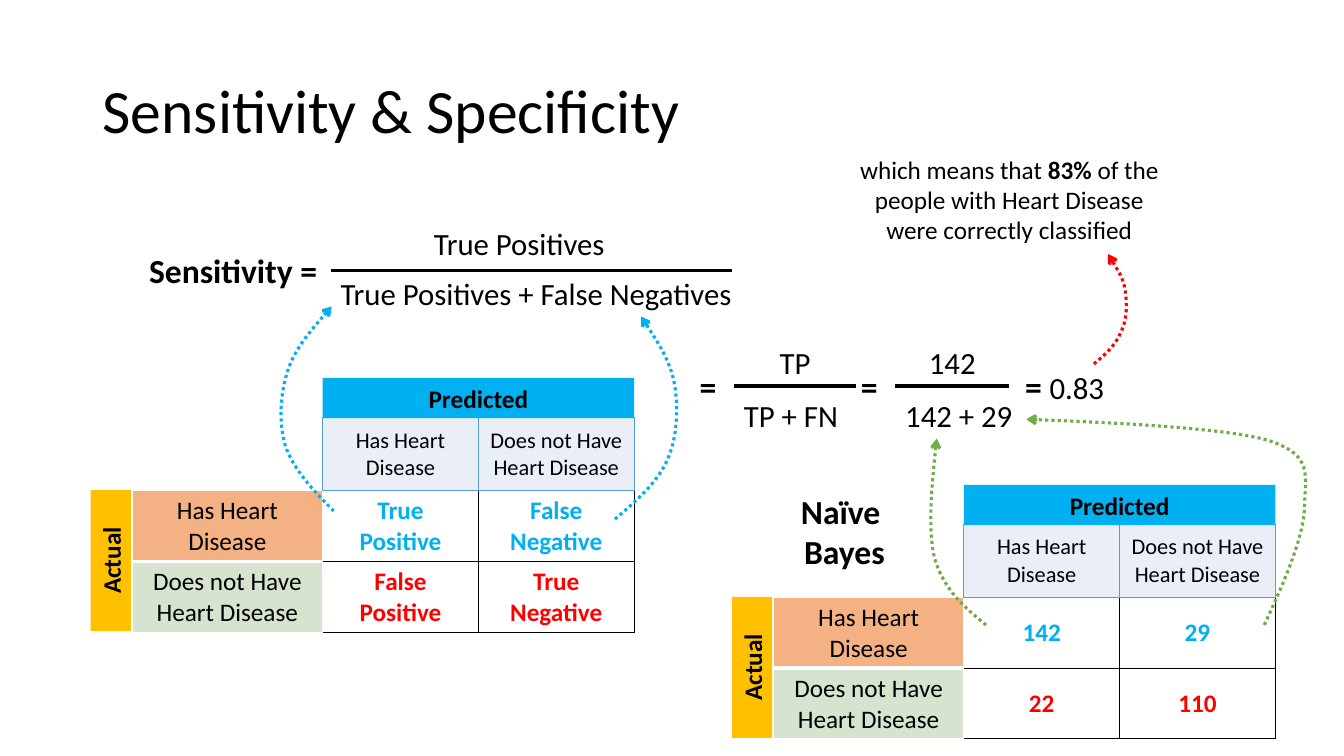
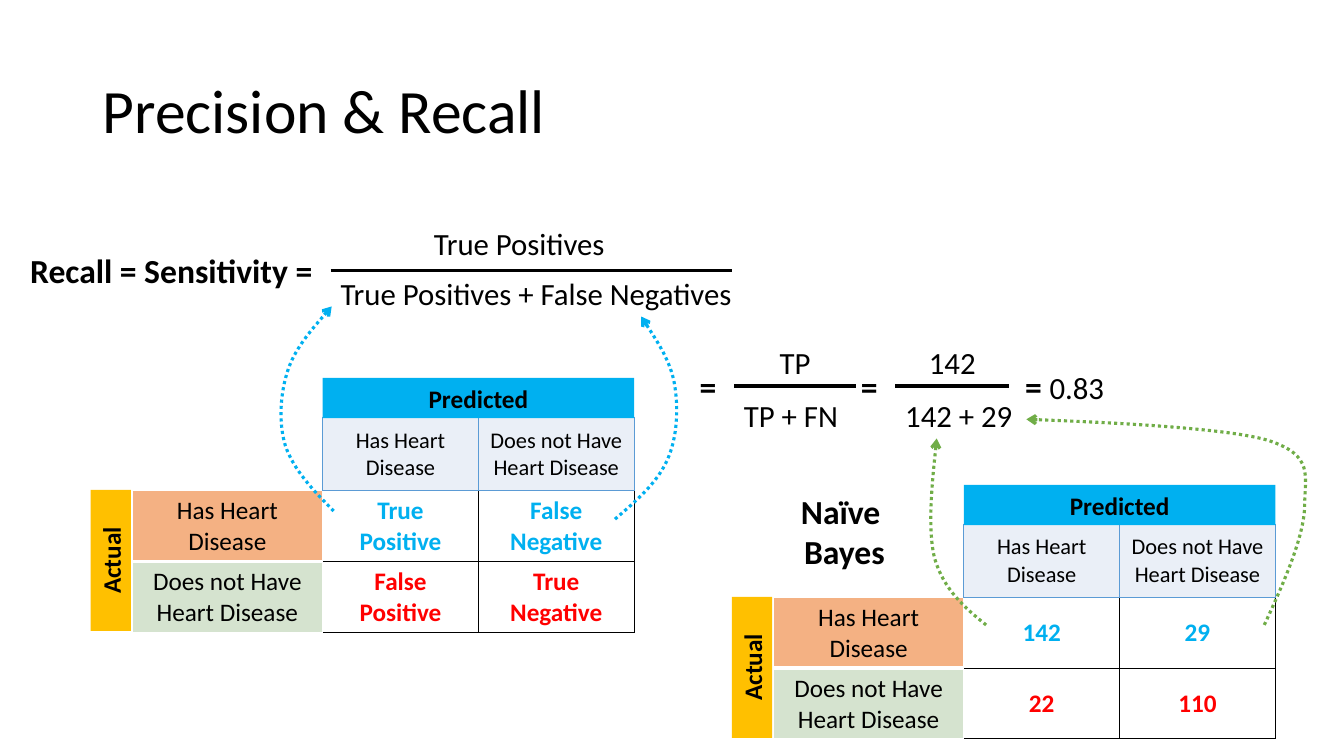
import lxml.etree
import pptx
import pptx.dml.color
import pptx.enum.dml
import pptx.enum.shapes
import pptx.enum.text
import pptx.oxml.ns
import pptx.util

PX = 9144
FONT = "Calibri"
COLORS = {
    "ink": "000000", "white": "FFFFFF", "predicted": "00B0F0", "actual": "FFC000",
    "has": "F4B183", "has_not": "D5E3CF", "header": "EAEFF7", "header_rule": "5B9BD5",
    "wrong": "FF0000", "link": "70AD47",
}
PLAIN_TABLE = "{2D5ABB26-0587-4C30-8999-92F81FD0307C}"
ALIGN = pptx.enum.text.PP_ALIGN
MIDDLE = pptx.enum.text.MSO_ANCHOR.MIDDLE
TOP = pptx.enum.text.MSO_ANCHOR.TOP
CONDITIONS = ["Has Heart Disease", "Does not Have Heart Disease"]
OUTCOMES = [["True\nPositive", "False\nNegative"], ["False\nPositive", "True\nNegative"]]
BAYES_COUNTS = [["142", "29"], ["22", "110"]]
OUTCOMES_AT, BAYES_AT = (90, 375), (726, 481)
MEANING_AT = (834, 148)
OUTCOME_CURVES = [
    [(241, 132), (221, 112), (201, 91), (193, 67), (186, 44), (188, 14), (196, -9),
     (204, -32), (239, -71)],
    [(520, 140), (541, 122), (562, 104), (572, 81), (582, 59), (583, 29), (579, 6),
     (575, -18), (546, -61)],
]
BAYES_CURVES = [
    [(252, 139), (231, 122), (210, 104), (201, 73), (193, 42), (203, -46)],
    [(528, 139), (548, 96), (567, 52), (568, 22), (568, -9), (578, -29), (532, -44),
     (486, -58), (292, -65)],
]
MEANING_CURVE = [(251, 213), (262, 204), (273, 194), (278, 181), (284, 169), (284, 153),
                 (282, 140), (280, 127), (265, 104)]


def qn(tag):
    """Return the qualified name of a drawing tag."""
    return pptx.oxml.ns.qn(tag)


def rgb(name):
    """Return a palette colour."""
    return pptx.dml.color.RGBColor.from_string(COLORS[name])


def emu(*lengths):
    """Turn px lengths into EMU."""
    return [length * PX for length in lengths]


def write(frame, text, size, bold=False, color="ink", align=ALIGN.CENTER):
    """Write plain text, or one paragraph of (words, bold, size) runs."""
    frame.word_wrap = True
    if isinstance(text, str):
        frame.text = text
    else:
        for words, run_bold, run_size in text:
            run = frame.paragraphs[0].add_run()
            run.text = words
            run.font.bold = run_bold
            run.font.size = pptx.util.Pt(run_size)
    for paragraph in frame.paragraphs:
        paragraph.alignment = align
        paragraph.font.name = FONT
        paragraph.font.size = pptx.util.Pt(size)
        paragraph.font.bold = bold
        paragraph.font.color.rgb = rgb(color)


def add_text(shapes, box, text, size, **style):
    """Place a text box and return it."""
    words = shapes.add_textbox(*emu(*box))
    write(words.text_frame, text, size, **style)
    return words


def add_band(slide, box, text, color, rotation=0):
    """Place a filled heading band."""
    band = slide.shapes.add_shape(pptx.enum.shapes.MSO_SHAPE.RECTANGLE, *emu(*box))
    band.shadow.inherit = False
    band.fill.solid()
    band.fill.fore_color.rgb = rgb(color)
    band.line.fill.background()
    band.rotation = rotation
    band.text_frame.vertical_anchor = MIDDLE
    write(band.text_frame, text, 18, bold=True)


def set_borders(cell, borders):
    """Draw the given sides, in the order L, R, T, B, as (colour, points)."""
    properties = cell._tc.get_or_add_tcPr()
    for side in "LRTB":
        if side in borders:
            color, points = borders[side]
            rule = lxml.etree.SubElement(properties, qn("a:ln" + side),
                                         w=str(pptx.util.Pt(points)))
            fill = lxml.etree.SubElement(rule, qn("a:solidFill"))
            lxml.etree.SubElement(fill, qn("a:srgbClr"), val=COLORS[color])


def add_grid(slide, box, texts, size, dress, anchor=MIDDLE, bold=False):
    """Place an even table; dress(row, column) gives fill, text colour and borders."""
    frame = slide.shapes.add_table(len(texts), len(texts[0]), *emu(*box))
    for style in frame._element.iter(qn("a:tableStyleId")):
        style.text = PLAIN_TABLE
    grid = frame.table
    grid.first_row = grid.horz_banding = False
    for row, line in enumerate(texts):
        for column, text in enumerate(line):
            cell = grid.cell(row, column)
            fill, color, borders = dress(row, column)
            set_borders(cell, borders)
            if fill:
                cell.fill.solid()
                cell.fill.fore_color.rgb = rgb(fill)
            else:
                cell.fill.background()
            cell.vertical_anchor = anchor
            write(cell.text_frame, text, size, bold=bold, color=color)


def dress_header(row, column):
    """Style a predicted condition."""
    return "header", "ink", dict.fromkeys("LRTB", ("header_rule", 1))


def dress_condition(row, column):
    """Style an actual condition."""
    borders = dict.fromkeys("LRTB", ("white", 1))
    borders["T" if row else "B"] = ("white", 3)
    return ("has_not" if row else "has"), "ink", borders


def dress_count(row, column):
    """Style a count, with no rule on the outer top and left."""
    sides = "RB" + ("T" if row else "") + ("L" if column else "")
    return None, ("wrong" if row else "predicted"), dict.fromkeys(sides, ("ink", 1))


def add_matrix(slide, origin, counts):
    """Place a confusion matrix at its top left corner."""
    x, y = origin
    add_grid(slide, (x + 230, y + 112, 309, 140), counts, 18, dress_count, bold=True)
    add_grid(slide, (x + 41, y + 112, 189, 140), [[name] for name in CONDITIONS], 18,
             dress_condition, anchor=TOP)
    add_grid(slide, (x + 230, y + 39, 309, 73), [CONDITIONS], 16, dress_header)
    add_band(slide, (x + 230, y, 309, 40), "Predicted", "predicted")
    add_band(slide, (x - 50, y + 161, 140, 40), "Actual", "actual", rotation=270)


def add_curve(slide, origin, points, color):
    """Draw a dotted curved arrow through points relative to the origin."""
    x, y = origin
    start, *rest = [(x + dx, y + dy) for dx, dy in points + points[-1:]]
    builder = slide.shapes.build_freeform(*start, scale=PX)
    builder.add_line_segments(rest, close=False)
    curve = builder.convert_to_shape()
    segments = list(curve._element.iter(qn("a:lnTo")))
    outline = segments[0].getparent()
    for first in range(0, len(segments), 3):
        bend = lxml.etree.SubElement(outline, qn("a:cubicBezTo"))
        for segment in segments[first:first + 3]:
            bend.append(segment[0])
            outline.remove(segment)
    curve.shadow.inherit = False
    curve.fill.background()
    curve.line.color.rgb = rgb(color)
    curve.line.width = pptx.util.Pt(2.25)
    curve.line.dash_style = pptx.enum.dml.MSO_LINE.ROUND_DOT
    lxml.etree.SubElement(curve.line._get_or_add_ln(), qn("a:tailEnd"), type="arrow")


def add_fraction(slide, bar, label, label_width, numerator, denominator,
                 gap=6, numerator_width=None):
    """Place a labelled fraction around its bar, given as left, top and width."""
    x, y, width = bar
    shapes = slide.shapes.add_group_shape().shapes
    name = add_text(shapes, (x - label_width, y - 25, label_width, 50), label, 24,
                    bold=True, align=ALIGN.LEFT)
    rule = shapes.add_connector(pptx.enum.shapes.MSO_CONNECTOR.STRAIGHT,
                                *emu(x, y, x + width, y))
    rule.begin_connect(name, 3)
    rule.line.color.rgb = rgb("ink")
    rule.line.width = pptx.util.Pt(2.25)
    lxml.etree.SubElement(rule._element.spPr, qn("a:effectLst"))
    add_text(shapes, (x, y - 50 + gap // 2, numerator_width or width, 47), numerator, 22)
    add_text(shapes, (x, y + gap, width + 20, 47), denominator, 22, align=ALIGN.LEFT)


def add_meaning(slide, origin):
    """Place the reading of the result and the arrow that leads to it."""
    sentence = [("which means that ", False, 18), ("83% ", True, 18),
                ("of the people with Heart Disease were correctly classified", False, 18)]
    add_text(slide.shapes, (*origin, 334, 101), sentence, 18)
    add_curve(slide, origin, MEANING_CURVE, "wrong")


def add_metric_slide(deck, title, label, label_width):
    """Build a slide that works out the true positive rate."""
    slide = deck.slides.add_slide(deck.slide_layouts[6])
    heading = add_text(slide.shapes, (92, 40, 682, 145), title, 44, align=ALIGN.LEFT)
    heading.text_frame.vertical_anchor = MIDDLE
    heading.text_frame.paragraphs[0].line_spacing = 0.9
    add_fraction(slide, (328, 268, 398), label, label_width, "True Positives",
                 "True Positives + False Negatives", gap=0, numerator_width=374)
    add_fraction(slide, (728, 383, 121), "=", 44, "TP", "TP + FN")
    add_fraction(slide, (888, 383, 113), "=", 44, "142", "142 + 29")
    add_text(slide.shapes, (1007, 358, 113, 50), [("= ", True, 24), ("0.83", False, 22)],
             22, align=ALIGN.LEFT)
    add_matrix(slide, OUTCOMES_AT, OUTCOMES)
    for points in OUTCOME_CURVES:
        add_curve(slide, OUTCOMES_AT, points, "predicted")
    add_matrix(slide, BAYES_AT, BAYES_COUNTS)
    add_text(slide.shapes, (743, 482, 189, 91), "Naïve \nBayes", 24, bold=True)
    for points in BAYES_CURVES:
        add_curve(slide, BAYES_AT, points, "link")
    return slide


def main():
    """Build and save the deck."""
    deck = pptx.Presentation()
    deck.slide_width, deck.slide_height = emu(1333, 750)
    sensitivity = add_metric_slide(deck, "Sensitivity & Specificity", "Sensitivity =", 190)
    add_meaning(sensitivity, MEANING_AT)
    add_metric_slide(deck, "Precision & Recall", "Recall = Sensitivity =", 308)
    deck.save("out.pptx")


if __name__ == "__main__":
    main()
